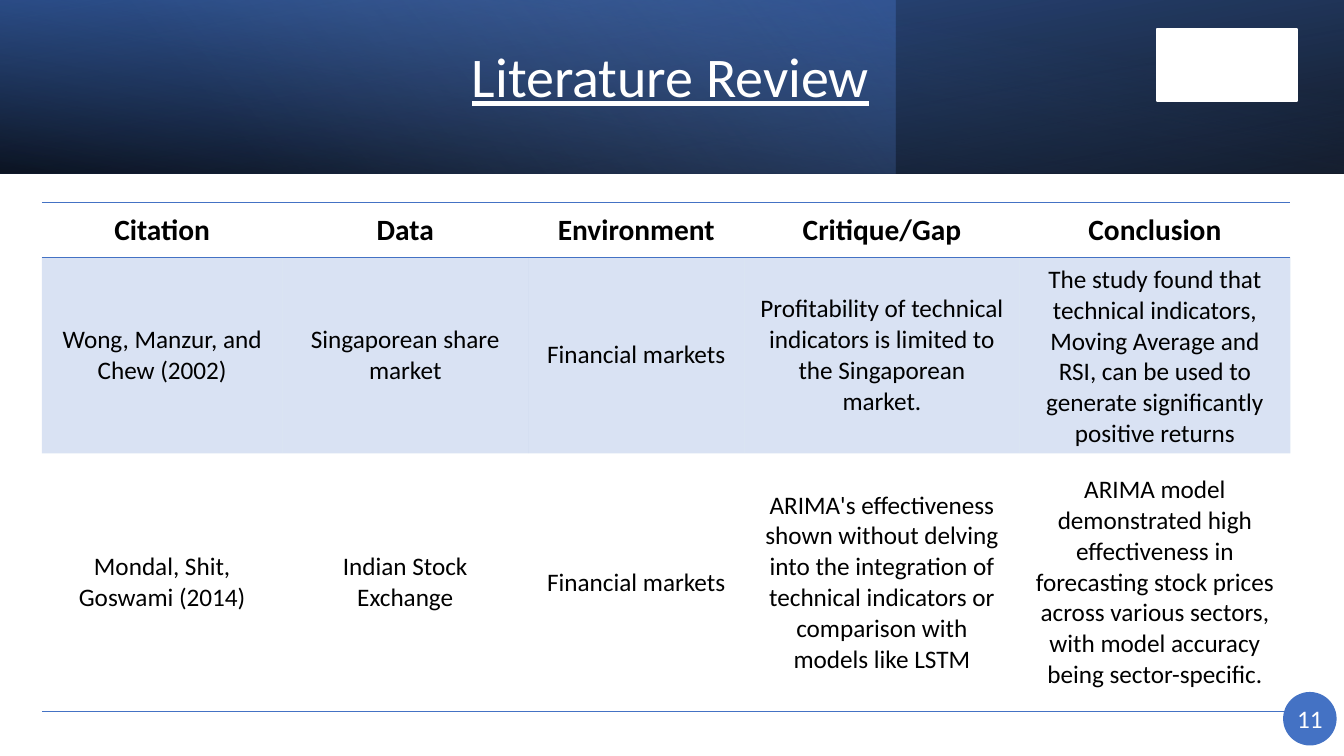
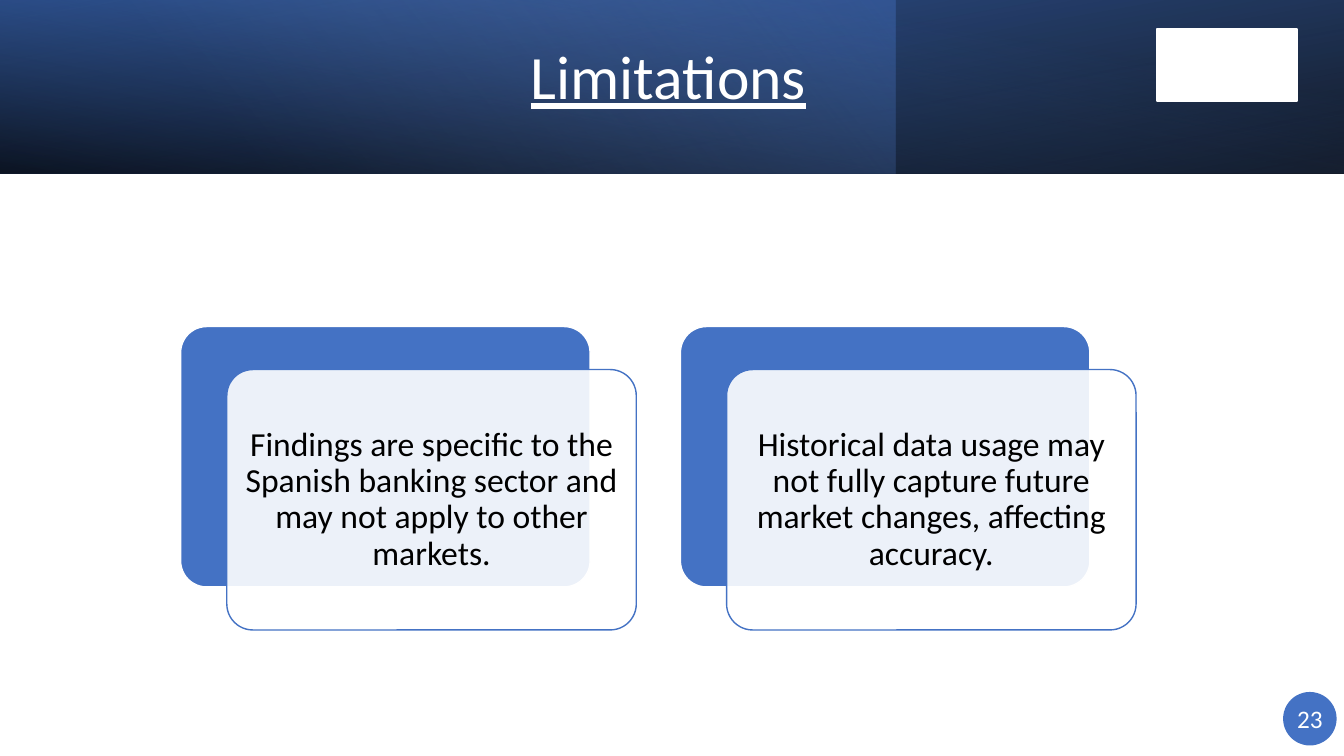
from dataclasses import dataclass

from lxml.etree import SubElement
from pptx import Presentation
from pptx.dml.color import RGBColor
from pptx.enum.shapes import MSO_SHAPE
from pptx.enum.text import MSO_ANCHOR, PP_ALIGN
from pptx.oxml.ns import qn
from pptx.util import Emu, Pt

EMU_PER_PX = 9525
PAGE_WIDTH, PAGE_HEIGHT = 1280, 720
BAND_HEIGHT = 165


@dataclass(frozen=True)
class Theme:
    font: str = "Calibri"
    white: str = "FFFFFF"
    black: str = "000000"
    blue: str = "4472C4"
    deep_blue: str = "2F5597"
    pale_blue: str = "8FAADC"
    header_size: int = 21
    body_size: int = 18
    card_size: int = 24


def px(length):
    return Emu(length * EMU_PER_PX)


def set_alpha(parent, percent):
    """Make the colour held by an XML element partly opaque."""
    if percent < 100:
        color = parent.find(qn("a:srgbClr"))
        SubElement(color, qn("a:alpha"), val=str(percent * 1000))


def set_fill(fill, color, opacity=100):
    fill.solid()
    fill.fore_color.rgb = RGBColor.from_string(color)
    set_alpha(fill._xPr.find(qn("a:solidFill")), opacity)


def set_gradient(fill, stops, angle):
    """Fill with two (position, colour, opacity) stops; angle is clockwise."""
    fill.gradient()
    fill.gradient_angle = 360 - angle
    for stop, (position, color, opacity) in zip(fill.gradient_stops, stops):
        stop.position = position / 100
        stop.color.rgb = RGBColor.from_string(color)
        set_alpha(stop._gs, opacity)


def set_borders(cell, color, top, bottom):
    """Rule the chosen edges; call before filling the cell."""
    properties = cell._tc.get_or_add_tcPr()
    edges = {"a:lnL": False, "a:lnR": False, "a:lnT": top, "a:lnB": bottom}
    for tag, ruled in edges.items():
        line = SubElement(properties, qn(tag), w=str(Pt(1)))
        if ruled:
            solid = SubElement(line, qn("a:solidFill"))
            SubElement(solid, qn("a:srgbClr"), val=color)
        else:
            SubElement(line, qn("a:noFill"))


def write(frame, text, *, font, size, color, bold=False, underline=False,
          align=PP_ALIGN.CENTER, line_spacing=None, space_after=None):
    frame.word_wrap = True
    para = frame.paragraphs[0]
    para.alignment = align
    para.line_spacing = line_spacing
    para.space_after = space_after
    span = para.add_run()
    span.text = text
    span.font.name = font
    span.font.size = Pt(size)
    span.font.bold = bold
    span.font.underline = underline
    span.font.color.rgb = RGBColor.from_string(color)


def set_margins(target, horizontal, vertical):
    target.margin_left = target.margin_right = px(horizontal)
    target.margin_top = target.margin_bottom = px(vertical)


class SlideBuilder:
    def __init__(self, deck, theme):
        self.deck = deck
        self.theme = theme
        self.page = None

    def start(self, title, left, width, size, number):
        """Add a page with its band, title, corner plate and page number."""
        self.page = self.deck.slides.add_slide(self.deck.slide_layouts[6])
        self.band()
        self.title(title, left, width, size)
        white = self.theme.white
        self.shape(MSO_SHAPE.RECTANGLE, 1102, 28, 133, 68, white,
                   line=white, line_width=1.5)
        self.badge(number)

    def shape(self, kind, left, top, width, height, fill=None, opacity=100,
              line=None, line_width=1):
        shape = self.page.shapes.add_shape(
            kind, px(left), px(top), px(width), px(height))
        shape.shadow.inherit = False
        if fill:
            set_fill(shape.fill, fill, opacity)
        if line:
            shape.line.color.rgb = RGBColor.from_string(line)
            shape.line.width = Pt(line_width)
        else:
            shape.line.fill.background()
        return shape

    def gradient_layer(self, width, stops, angle, flipped=False, rotation=0):
        layer = self.shape(MSO_SHAPE.RECTANGLE, 0, 0, width, BAND_HEIGHT)
        set_gradient(layer.fill, stops, angle)
        layer.rotation = rotation
        if flipped:
            layer._element.spPr.find(qn("a:xfrm")).set("flipH", "1")

    def band(self):
        theme = self.theme
        self.gradient_layer(
            PAGE_WIDTH, [(0, theme.black, 96), (100, theme.deep_blue, 100)],
            100, flipped=True, rotation=180)
        self.gradient_layer(
            PAGE_WIDTH * 2 // 3,
            [(0, theme.blue, 41), (74, theme.pale_blue, 0)], 140)
        self.gradient_layer(
            PAGE_WIDTH, [(0, theme.black, 63), (78, theme.blue, 15)],
            260, flipped=True)

    def title(self, text, left, width, size):
        box = self.page.shapes.add_textbox(px(left), px(15), px(width), px(122))
        box.text_frame.vertical_anchor = MSO_ANCHOR.MIDDLE
        write(box.text_frame, text, font=self.theme.font, size=size,
              color=self.theme.white, underline=True, align=PP_ALIGN.LEFT,
              line_spacing=0.9, space_after=Pt(6))

    def badge(self, number):
        circle = self.shape(MSO_SHAPE.OVAL, 1222, 659, 51, 51, self.theme.blue)
        set_margins(circle.text_frame, 0, 0)
        circle.text_frame.vertical_anchor = MSO_ANCHOR.MIDDLE
        write(circle.text_frame, str(number), font=self.theme.font,
              size=self.theme.body_size, color=self.theme.white)

    def table(self, left, top, widths, heights, rows):
        theme = self.theme
        table = self.page.shapes.add_table(
            len(rows), len(widths), px(left), px(top),
            px(sum(widths)), px(sum(heights))).table
        table.first_row = table.horz_banding = False
        for column, width in zip(table.columns, widths):
            column.width = px(width)
        for row, height in zip(table.rows, heights):
            row.height = px(height)
        ruled = {0, 1, len(rows)}
        for row_index, texts in enumerate(rows):
            header = row_index == 0
            for column_index, text in enumerate(texts):
                cell = table.cell(row_index, column_index)
                set_margins(cell, 12, 7)
                cell.vertical_anchor = MSO_ANCHOR.MIDDLE
                set_borders(cell, theme.blue, row_index in ruled,
                            row_index + 1 in ruled)
                if row_index % 2:
                    set_fill(cell.fill, theme.blue, 20)
                else:
                    cell.fill.background()
                write(cell.text_frame, text, font=theme.font, bold=header,
                      size=theme.header_size if header else theme.body_size,
                      color=theme.black)

    def card(self, left, top, text):
        """Draw a text card in front of an offset blue card."""
        theme = self.theme
        size = (390, 248)
        back = self.shape(MSO_SHAPE.ROUNDED_RECTANGLE, left, top, *size,
                          theme.blue, line=theme.white)
        front = self.shape(MSO_SHAPE.ROUNDED_RECTANGLE, left + 44, top + 41,
                           *size, theme.white, opacity=90, line=theme.blue)
        for layer in (back, front):
            layer.adjustments[0] = 0.1
        set_margins(front.text_frame, 10, 10)
        front.text_frame.vertical_anchor = MSO_ANCHOR.MIDDLE
        write(front.text_frame, text, font=theme.font, size=theme.card_size,
              color=theme.black, line_spacing=0.9)


REVIEW = [
    ["Citation", "Data", "Environment", "Critique/Gap", "Conclusion"],
    ["Wong, Manzur, and Chew (2002)",
     "Singaporean share market",
     "Financial markets",
     "Profitability of technical indicators is limited to the Singaporean "
     "market.",
     "The study found that technical indicators, Moving Average and RSI, can "
     "be used to generate significantly positive returns"],
    ["Mondal, Shit, Goswami (2014)",
     "Indian Stock Exchange",
     "Financial markets",
     "ARIMA's effectiveness shown without delving into the integration of "
     "technical indicators or comparison with models like LSTM",
     "ARIMA model demonstrated high effectiveness in forecasting stock prices "
     "across various sectors, with model accuracy being sector-specific."],
]

LIMITATIONS = [
    "Findings are specific to the Spanish banking sector and may not apply to "
    "other markets.",
    "Historical data usage may not fully capture future market changes, "
    "affecting accuracy.",
]


def main():
    deck = Presentation()
    deck.slide_width, deck.slide_height = px(PAGE_WIDTH), px(PAGE_HEIGHT)
    builder = SlideBuilder(deck, Theme())

    builder.start("Literature Review", left=440, width=400, size=40, number=11)
    builder.table(40, 193, [229, 234, 206, 262, 258], [52, 170, 246], REVIEW)

    builder.start("Limitations", left=496, width=311, size=44, number=23)
    for index, text in enumerate(LIMITATIONS):
        builder.card(172 + index * 476, 311, text)

    deck.save("out.pptx")


if __name__ == "__main__":
    main()
